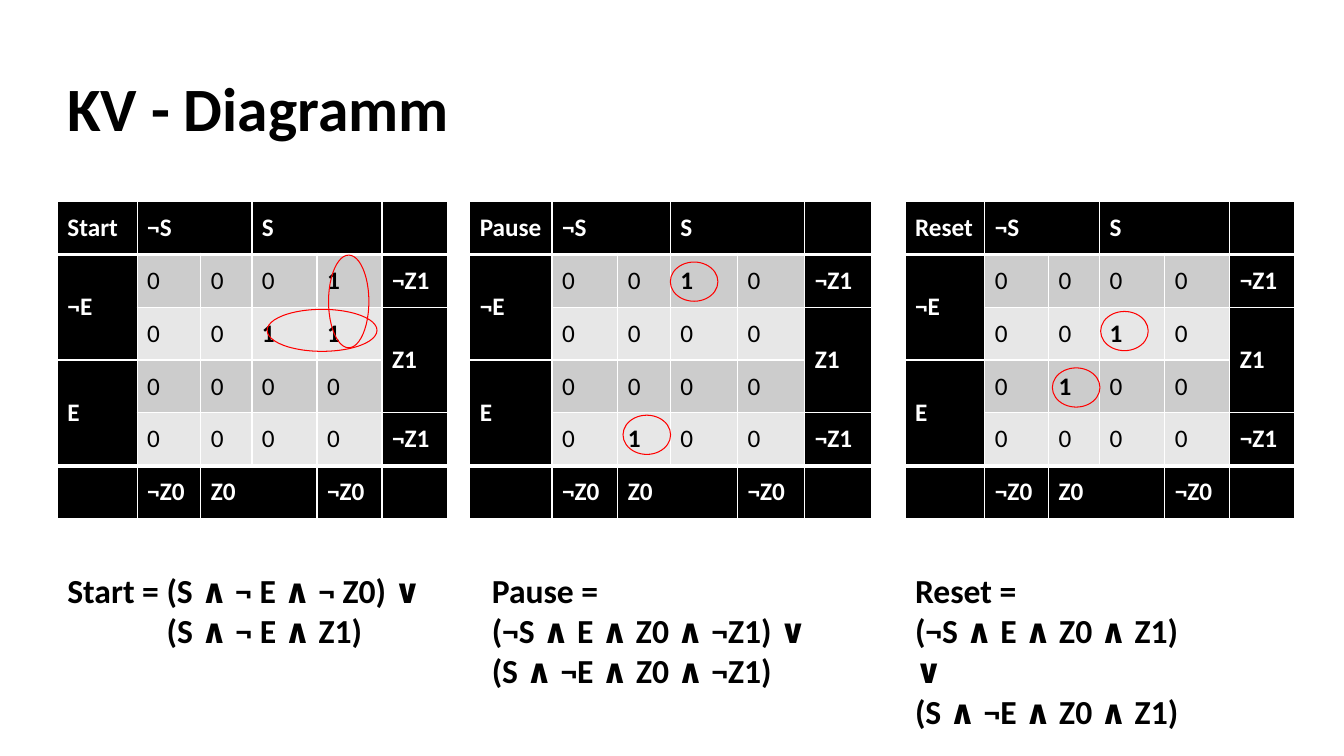
from lxml import etree
from pptx import Presentation
from pptx.dml.color import RGBColor
from pptx.enum.shapes import MSO_SHAPE
from pptx.enum.text import MSO_ANCHOR
from pptx.oxml.ns import qn
from pptx.util import Pt

OVAL = MSO_SHAPE.OVAL
MIDDLE = MSO_ANCHOR.MIDDLE
TOP = MSO_ANCHOR.TOP
FONT = "Calibri"
BLACK, WHITE, RED = "000000", "FFFFFF", "FF0000"
BANDS = ("E7E7E7", "CCCCCC")

COLUMN_WIDTHS = (57, 45.5, 36.5, 46.5, 46.5, 46.5)
ROW_COUNT = 6
LAST_ROW, LAST_COLUMN = ROW_COUNT - 1, len(COLUMN_WIDTHS) - 1
LABELS = {
    (0, 1): "¬S", (0, 3): "S",
    (1, 0): "¬E", (3, 0): "E",
    (1, 5): "¬Z1", (2, 5): "Z1", (4, 5): "¬Z1",
    (5, 1): "¬Z0", (5, 2): "Z0", (5, 4): "¬Z0",
}
MERGES = (
    ((0, 1), (0, 2)), ((0, 3), (0, 4)), ((1, 0), (2, 0)),
    ((3, 0), (4, 0)), ((2, 5), (3, 5)), ((5, 2), (5, 3)),
)
MAP_TOP, MAP_HEIGHT = 144, 226.4
FORMULA_TOP = 403.2
SINGLE_LOOP = (34, 28)

MAPS = (
    {
        "name": "Start", "left": 41, "width": 278.5,
        "ones": {(1, 4), (2, 3), (2, 4)},
        "loops": ((149.8, 77, 78.5, 30), (193.7, 38.2, 28.8, 66.2)),
        "formula_left": 41, "formula_width": 276, "indent": 71,
        "formula": ("Start = (S ∧ ¬ E ∧ ¬ Z0) ∨", "(S ∧ ¬ E ∧ Z1)"),
    },
    {
        "name": "Pause", "left": 335.5, "width": 287.3,
        "ones": {(1, 3), (4, 2)},
        "loops": ((109.5, 152.6, *SINGLE_LOOP), (143.3, 43.2, *SINGLE_LOOP)),
        "formula_left": 344.2, "formula_width": 244, "indent": 0,
        "formula": ("Pause =", "(¬S ∧ E ∧ Z0 ∧ ¬Z1) ∨", "(S ∧ ¬E ∧ Z0 ∧ ¬Z1)"),
    },
    {
        "name": "Reset", "left": 646.5, "width": 278.5,
        "ones": {(2, 3), (3, 2)},
        "loops": ((105.2, 118.8, *SINGLE_LOOP), (139.7, 78.5, *SINGLE_LOOP)),
        "formula_left": 646.5, "formula_width": 220, "indent": 0,
        "formula": ("Reset =", "(¬S ∧ E ∧ Z0 ∧ Z1) ∨", "(S ∧ ¬E ∧ Z0 ∧ Z1)"),
    },
)


def color(value):
    return RGBColor.from_string(value)


def format_runs(paragraph, size, value, bold):
    for run in paragraph.runs:
        run.font.name = FONT
        run.font.size = Pt(size)
        run.font.bold = bold
        run.font.color.rgb = color(value)


def add_text(slide, left, top, width, height, lines, size, anchor):
    text_box = slide.shapes.add_textbox(Pt(left), Pt(top), Pt(width), Pt(height))
    text_frame = text_box.text_frame
    text_frame.word_wrap = True
    text_frame.vertical_anchor = anchor
    text_frame.text = "\n".join(lines)
    for paragraph in text_frame.paragraphs:
        format_runs(paragraph, size, BLACK, True)
    return text_frame


def set_borders(cell, row):
    properties = cell._tc.get_or_add_tcPr()
    thick_sides = {0: "B", 1: "T", LAST_ROW - 1: "B", LAST_ROW: "T"}
    for side in "LRTB":
        width = 3 if thick_sides.get(row) == side else 1
        line = etree.SubElement(properties, qn("a:ln" + side), w=str(Pt(width)))
        fill = etree.SubElement(line, qn("a:solidFill"))
        etree.SubElement(fill, qn("a:srgbClr"), val=WHITE)


def add_map(slide, left, top, width, height, name, ones):
    table = slide.shapes.add_table(
        ROW_COUNT, len(COLUMN_WIDTHS), Pt(left), Pt(top), Pt(width), Pt(height)
    ).table
    scale = width / sum(COLUMN_WIDTHS)
    for column, column_width in zip(table.columns, COLUMN_WIDTHS):
        column.width = Pt(column_width * scale)
    labels = {(0, 0): name, **LABELS}
    for row in range(ROW_COUNT):
        table.rows[row].height = Pt(height / ROW_COUNT)
        for column in range(len(COLUMN_WIDTHS)):
            cell = table.cell(row, column)
            is_value = 0 < row < LAST_ROW and 0 < column < LAST_COLUMN
            is_one = (row, column) in ones
            set_borders(cell, row)
            cell.fill.solid()
            cell.fill.fore_color.rgb = color(BANDS[row % 2] if is_value else BLACK)
            cell.vertical_anchor = MIDDLE
            cell.text = str(int(is_one)) if is_value else labels.get((row, column), "")
            format_runs(cell.text_frame.paragraphs[0], 18,
                        BLACK if is_value else WHITE, is_one or not is_value)
    for first, last in MERGES:
        table.cell(*first).merge(table.cell(*last))


def add_formula(slide, left, top, width, lines, indent):
    text_frame = add_text(slide, left, top, width, 8 + 29 * len(lines), lines, 24, TOP)
    if indent:
        for paragraph in text_frame.paragraphs[1:]:
            paragraph._p.get_or_add_pPr().set("marL", str(Pt(indent)))


def add_loops(slide, left, top, loops):
    for offset_x, offset_y, width, height in loops:
        loop = slide.shapes.add_shape(
            OVAL, Pt(left + offset_x), Pt(top + offset_y), Pt(width), Pt(height)
        )
        loop.shadow.inherit = False
        loop.fill.background()
        loop.line.color.rgb = color(RED)
        loop.line.width = Pt(0.75)


def build_slide(presentation):
    slide = presentation.slides.add_slide(presentation.slide_layouts[6])
    title = add_text(slide, 41, 27.4, 828, 104.4, ["KV - Diagramm"], 44, MIDDLE)
    title.paragraphs[0].line_spacing = 0.9
    for kv_map in MAPS:
        add_map(slide, kv_map["left"], MAP_TOP, kv_map["width"], MAP_HEIGHT,
                kv_map["name"], kv_map["ones"])
        add_loops(slide, kv_map["left"], MAP_TOP, kv_map["loops"])
        add_formula(slide, kv_map["formula_left"], FORMULA_TOP,
                    kv_map["formula_width"], kv_map["formula"], kv_map["indent"])


presentation = Presentation()
presentation.slide_width = Pt(960)
presentation.slide_height = Pt(540)
build_slide(presentation)
presentation.save("out.pptx")
